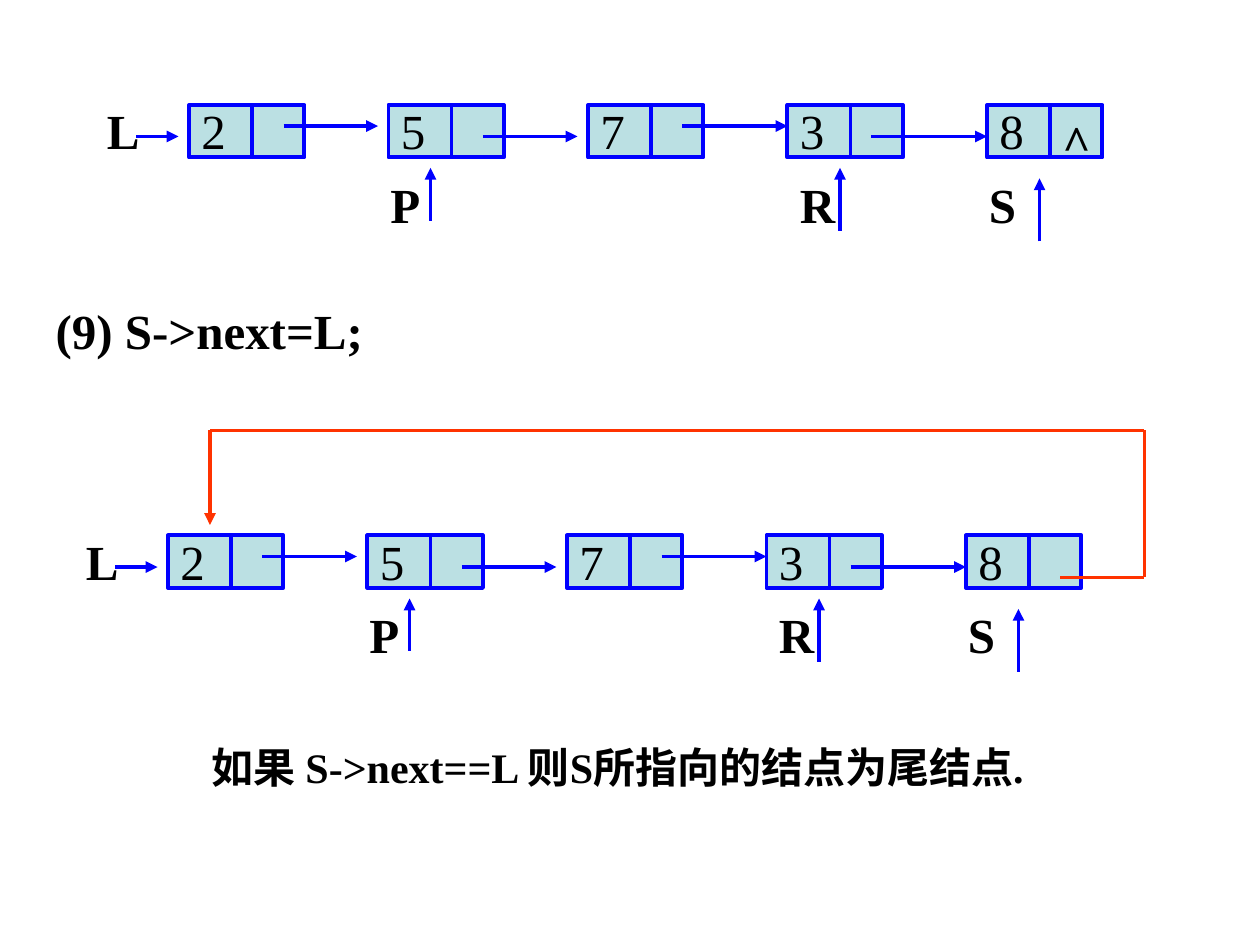
from pptx import Presentation
from pptx.dml.color import RGBColor
from pptx.enum.shapes import MSO_CONNECTOR, MSO_SHAPE
from pptx.enum.text import MSO_AUTO_SIZE as AUTO_SIZE
from pptx.oxml.ns import qn
from pptx.util import Pt
from lxml.etree import SubElement

PX = 9525
BLUE, RED, BLACK, TEAL = "0000FF", "FF3300", "000000", "BBE0E3"
color = RGBColor.from_string


def add_text(shapes, text, left, top, width, height=55, size=28, bold=True, wrap=True):
    box = shapes.add_textbox(left * PX, top * PX, width * PX, height * PX)
    frame = box.text_frame
    frame.word_wrap = wrap
    frame.auto_size = AUTO_SIZE.SHAPE_TO_FIT_TEXT
    run = frame.paragraphs[0].add_run()
    run.text = text
    font_format = {"name": "Times New Roman", "size": Pt(size), "bold": bold}
    for name, value in font_format.items():
        setattr(run.font, name, value)
    run.font.color.rgb = color(BLACK)


def add_line(shapes, start, end, line_color=BLUE, arrow=True):
    points = [value * PX for value in (*start, *end)]
    connector = shapes.add_connector(MSO_CONNECTOR.STRAIGHT, *points)
    connector.line.color.rgb = color(line_color)
    connector.line.width = Pt(2.25)
    if arrow:
        SubElement(connector.line._get_or_add_ln(), qn("a:tailEnd"), type="triangle")
    SubElement(connector._element.spPr, qn("a:effectLst"))


presentation = Presentation()
presentation.slide_width = 960 * PX
presentation.slide_height = 720 * PX
slide = presentation.slides.add_slide(presentation.slide_layouts[6])

add_text(slide.shapes, "(9) S->next=L;", 33, 224, 253, wrap=False)

node_values = ["2", "5", "7", "3", "8"]
links = [(144, 216, 24), (296, 368, 32), (448, 528, 24), (592, 680, 32)]
pointers = [("P", 216, 112, 256, 96, 56), ("R", 528, 80, 568, 104, 56), ("S", 672, 72, 720, 112, 64)]
loop_points = [(808, 440), (872, 440), (872, 328), (160, 328), (160, 400)]

for x, y, circular in [(56, 400, True), (72, 72, False)]:
    shapes = slide.shapes.add_group_shape().shapes
    add_text(shapes, "L", x, y, 48)
    add_line(shapes, (x + 32, y + 32), (x + 64, y + 32))

    for index, value in enumerate(node_values):
        left, top = x + 72 + 152 * index, y + 8
        node = shapes.add_shape(MSO_SHAPE.RECTANGLE, left * PX, top * PX, 88 * PX, 40 * PX)
        node.shadow.inherit = False
        node.fill.solid()
        node.fill.fore_color.rgb = color(TEAL)
        node.line.color.rgb = color(BLUE)
        node.line.width = Pt(2.25)
        add_line(shapes, (left + 48, top), (left + 48, top + 40), arrow=False)
        add_text(shapes, value, left, y, 48, bold=False)

    for start, end, height in links:
        add_line(shapes, (x + start, y + height), (x + end, y + height))

    for name, left, width, arrow_x, bottom, top in pointers:
        add_text(shapes, name, x + left, y + 56, width)
        add_line(shapes, (x + arrow_x, y + bottom), (x + arrow_x, y + top))

    if circular:
        for start, end in zip(loop_points, loop_points[1:]):
            add_line(shapes, start, end, RED, arrow=end == loop_points[-1])
    else:
        add_text(shapes, "^", x + 728, y + 8, 40)

add_text(slide.shapes, "如果 S->next==L 则S所指向的结点为尾结点.", 152, 560, 656, 86, size=24)

presentation.save("out.pptx")
